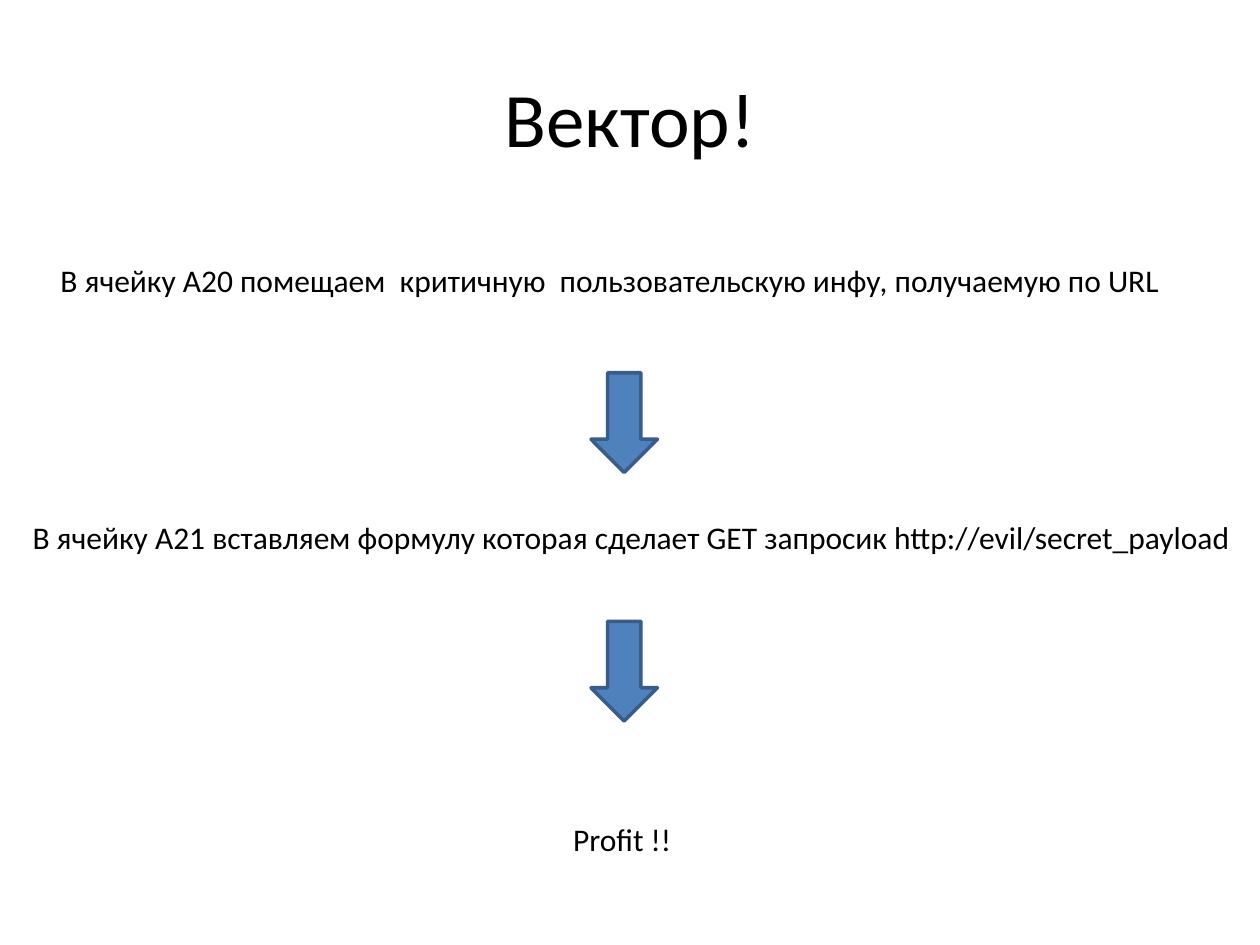
from pptx import Presentation
from pptx.dml.color import RGBColor
from pptx.enum import shapes, text
from pptx.util import Pt

COLORS = {"text": "000000", "arrow": "4F81BD", "outline": "385D8A"}
FONT = "Calibri"
STEP_HEIGHT = 29
ARROW_LEFT, ARROW_WIDTH, ARROW_HEIGHT = 337.7, 38, 57

STEPS = [
    ("В ячейку A20 помещаем  критичную  пользовательскую инфу, получаемую по URL",
     27.4, 145.4, 644.4),
    ("В ячейку А21 вставляем формулу которая сделает GET запросик http://evil/secret_payload",
     11.5, 292.3, 706.3),
    ("Profit !!", 320.4, 465.1, 70.6),
]
ARROW_TOPS = [213, 355]


def color(name):
    return RGBColor.from_string(COLORS[name])


def add_text(s, content, box, size, frame_format, align):
    tf = s.shapes.add_textbox(*map(Pt, box)).text_frame
    for name, value in frame_format.items():
        setattr(tf, name, value)
    p = tf.paragraphs[0]
    p.alignment = align
    r = p.add_run()
    r.text = content
    for name, value in {"name": FONT, "size": Pt(size)}.items():
        setattr(r.font, name, value)
    r.font.color.rgb = color("text")


def add_title(s, content):
    frame_format = {"word_wrap": True, "vertical_anchor": text.MSO_ANCHOR.MIDDLE}
    add_text(s, content, (36, 21.6, 648, 90), 44, frame_format, text.PP_ALIGN.CENTER)


def add_step(s, content, left, top, width):
    frame_format = {"word_wrap": False,
                    "auto_size": text.MSO_AUTO_SIZE.SHAPE_TO_FIT_TEXT}
    add_text(s, content, (left, top, width, STEP_HEIGHT), 18, frame_format,
             text.PP_ALIGN.LEFT)


def add_down_arrow(s, top):
    box = (ARROW_LEFT, top, ARROW_WIDTH, ARROW_HEIGHT)
    sp = s.shapes.add_shape(shapes.MSO_SHAPE.DOWN_ARROW, *map(Pt, box))
    sp.shadow.inherit = False
    sp.fill.solid()
    sp.fill.fore_color.rgb = color("arrow")
    sp.line.color.rgb = color("outline")
    sp.line.width = Pt(2)


def main():
    prs = Presentation()
    prs.slide_width, prs.slide_height = Pt(720), Pt(540)
    s = prs.slides.add_slide(prs.slide_layouts[6])
    add_title(s, "Вектор!")
    for step in STEPS:
        add_step(s, *step)
    for top in ARROW_TOPS:
        add_down_arrow(s, top)
    prs.save("out.pptx")


if __name__ == "__main__":
    main()
